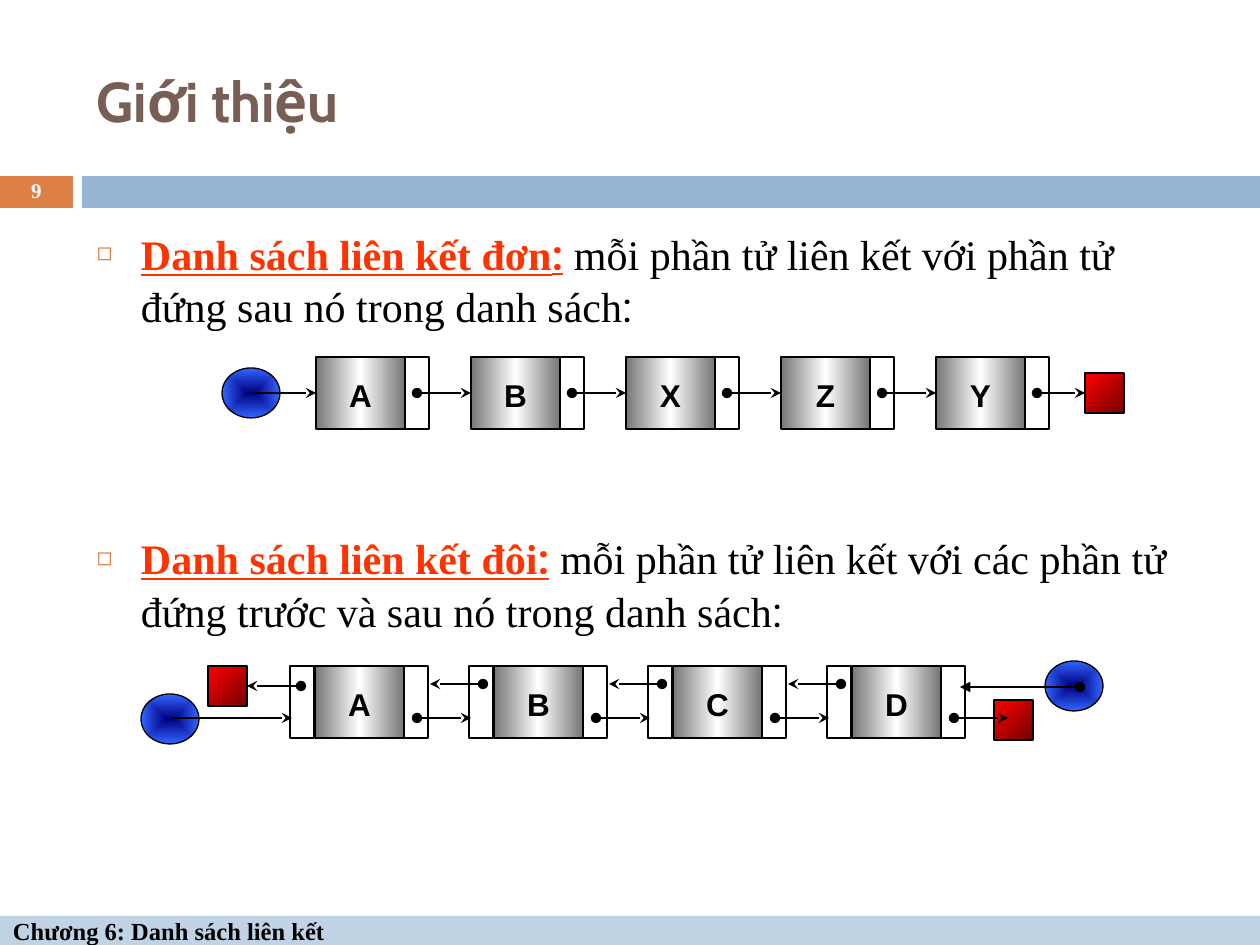
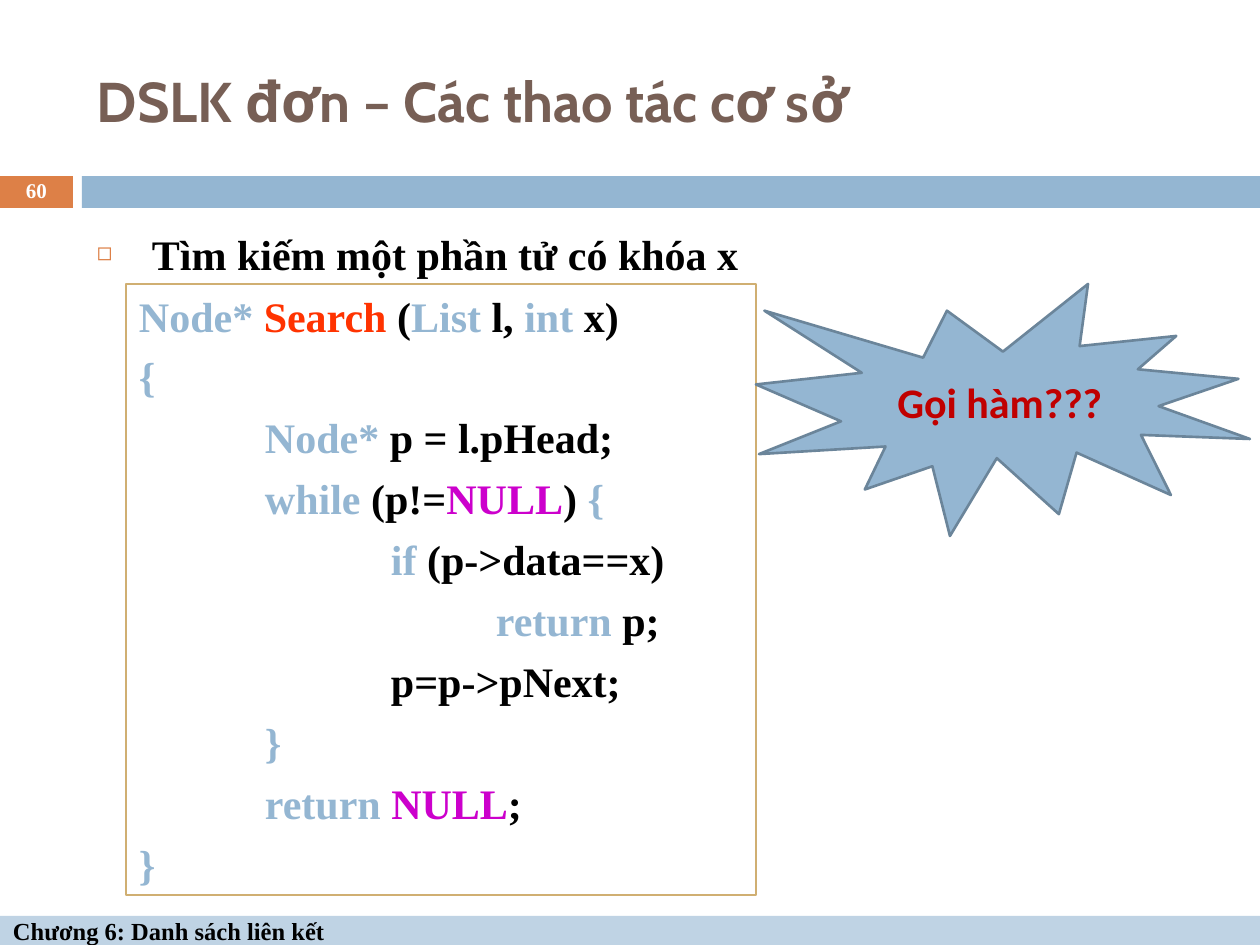
import lxml.etree
import pptx
import pptx.dml.color
import pptx.enum.shapes
import pptx.enum.text
import pptx.oxml.ns
import pptx.util

RGB = pptx.dml.color.RGBColor
SHAPE = pptx.enum.shapes.MSO_SHAPE
ALIGN = pptx.enum.text.PP_ALIGN
ANCHOR = pptx.enum.text.MSO_ANCHOR
Pt = pptx.util.Pt
qn = pptx.oxml.ns.qn

PX_PER_INCH = 126
BLACK = RGB(0x00, 0x00, 0x00)
WHITE = RGB(0xFF, 0xFF, 0xFF)
ORANGE = RGB(0xDD, 0x80, 0x47)
BLUE = RGB(0x94, 0xB6, 0xD2)
PALE_BLUE = RGB(0xBF, 0xD3, 0xE4)
SLATE = RGB(0x6B, 0x85, 0x9A)
BROWN = RGB(0x77, 0x5F, 0x55)
SAND = RGB(0xD0, 0xAF, 0x72)
SCARLET = RGB(0xFF, 0x33, 0x00)
CRIMSON = RGB(0xC0, 0x00, 0x00)
MAGENTA = RGB(0xCC, 0x00, 0xCC)
NAVY = RGB(0x00, 0x00, 0x80)
ROYAL = RGB(0x33, 0x66, 0xFF)
RED = RGB(0xFF, 0x00, 0x00)
MAROON = RGB(0x76, 0x00, 0x00)
GRAY = RGB(0x76, 0x76, 0x76)
SERIF = "Times New Roman"

CODE = [
    (0, [("Node* ", BLUE), ("Search ", SCARLET), ("(", BLACK), ("List", BLUE),
         (" l, ", BLACK), ("int", BLUE), (" x)", BLACK)]),
    (0, [("{", BLUE)]),
    (126, [("Node*", BLUE), (" p = l.pHead;", BLACK)]),
    (126, [("while ", BLUE), ("(p!=", BLACK), ("NULL", MAGENTA), (") ", BLACK), ("{", BLUE)]),
    (252, [("if", BLUE), (" (p->data==x)", BLACK)]),
    (357, [("return", BLUE), (" p;", BLACK)]),
    (252, [("p=p->pNext;", BLACK)]),
    (126, [("}", BLUE)]),
    (126, [("return ", BLUE), ("NULL", MAGENTA), (";", BLACK)]),
    (0, [("}", BLUE)]),
]


def px(length):
    """Turn pixels into EMU."""
    return pptx.util.Emu(round(length * 914400 / PX_PER_INCH))


def add_xml(parent, tag, **attributes):
    """Append one DrawingML element."""
    return lxml.etree.SubElement(parent, qn(tag), attributes)


def format_run(run, size, color, font=SERIF, bold=True, underline=None):
    """Set the character format of a run."""
    run.font.size = Pt(size)
    run.font.name = font
    run.font.bold = bold
    run.font.underline = underline
    run.font.color.rgb = color


def add_span(para, text, size, color, **style):
    """Append a formatted run to a paragraph."""
    run = para.add_run()
    run.text = text
    format_run(run, size, color, **style)


def set_frame(shape, anchor, insets=(13, 6, 13, 6)):
    """Set wrapping, anchor and insets of a text frame."""
    frame = shape.text_frame
    frame.word_wrap = True
    frame.auto_size = pptx.enum.text.MSO_AUTO_SIZE.NONE
    frame.vertical_anchor = anchor
    frame.margin_left, frame.margin_top, frame.margin_right, frame.margin_bottom = map(px, insets)
    return frame


def label(shape, text, size, color, font=SERIF, align=ALIGN.CENTER, **frame_style):
    """Write one bold line in the middle of a shape."""
    frame = set_frame(shape, ANCHOR.MIDDLE, **frame_style)
    frame.text = text
    para = frame.paragraphs[0]
    para.alignment = align
    format_run(para.runs[0], size, color, font)
    return para


def place(shape, left, top, width, height):
    """Move and size a shape."""
    shape.left, shape.top, shape.width, shape.height = map(px, (left, top, width, height))


def add_box(shapes, kind, area, fill=None, line=None, weight=0.75):
    """Add a preset shape with plain fill and outline."""
    box = shapes.add_shape(kind, *map(px, area))
    box.shadow.inherit = False
    if fill is None:
        box.fill.background()
    else:
        box.fill.solid()
        box.fill.fore_color.rgb = fill
    if line is None:
        box.line.fill.background()
    else:
        box.line.color.rgb = line
        box.line.width = Pt(weight)
    return box


def set_gradient(box, colors, angle=None):
    """Fill a box with evenly spaced colours, from the centre if no angle is given."""
    box.fill.background()
    properties = box._element.spPr
    gradient = lxml.etree.Element(qn("a:gradFill"), {"rotWithShape": "1"})
    stops = add_xml(gradient, "a:gsLst")
    for index, color in enumerate(colors):
        stop = add_xml(stops, "a:gs", pos=str(100000 * index // (len(colors) - 1)))
        add_xml(stop, "a:srgbClr", val=str(color))
    if angle is None:
        centre = add_xml(gradient, "a:path", path="rect")
        add_xml(centre, "a:fillToRect", l="50000", t="50000", r="50000", b="50000")
    else:
        add_xml(gradient, "a:lin", ang=str(angle * 60000), scaled="0")
    properties.replace(properties.find(qn("a:noFill")), gradient)


def add_node(shapes, text, left, top):
    """Add the data part of a list node."""
    node = add_box(shapes, SHAPE.RECTANGLE, (left, top, 89, 72), line=BLACK)
    set_gradient(node, (GRAY, WHITE, GRAY), 0)
    label(node, text, 18, BLACK, "Arial", insets=(0, 4, 0, 0))
    return node


def add_slot(shapes, left, top, fill=None):
    """Add the pointer part of a list node."""
    add_box(shapes, SHAPE.RECTANGLE, (left, top, 24, 72), fill, BLACK)


def add_head(shapes, left, top):
    """Add the ellipse that stands for a list pointer."""
    head = add_box(shapes, SHAPE.OVAL, (left, top, 58, 50), line=BLACK)
    set_gradient(head, (NAVY, ROYAL))


def add_null(shapes, left, top):
    """Add the red square that ends a list."""
    null = add_box(shapes, SHAPE.RECTANGLE, (left, top, 39, 40), line=BLACK)
    set_gradient(null, (RED, MAROON), 45)
    return null


def add_arrow(shapes, start, end, y, dot=True, tip="stealth", target=None, side=1):
    """Add a level arrow, joined to a side of its target if there is one."""
    straight = pptx.enum.shapes.MSO_CONNECTOR.STRAIGHT
    arrow = shapes.add_connector(straight, px(start), px(y), px(end), px(y))
    if target is not None:
        arrow.end_connect(target, side)
    arrow.line.color.rgb = BLACK
    arrow.line.width = Pt(1.25)
    line = arrow.line._get_or_add_ln()
    if dot:
        add_xml(line, "a:headEnd", type="oval")
    add_xml(line, "a:tailEnd", type=tip)
    add_xml(arrow._element.spPr, "a:effectLst")


def add_page(deck, title, number):
    """Add a page with title, bands, page number and footer."""
    page = deck.slides.add_slide(deck.slide_layouts[1])
    place(page.shapes.title, 84, 32, 1124, 136)
    label(page.shapes.title, title, 32, BROWN, "Cabin", ALIGN.LEFT)
    place(page.placeholders[1], 84, 220, 1124, 620)
    set_frame(page.placeholders[1], ANCHOR.TOP)
    add_box(page.shapes, SHAPE.RECTANGLE, (0, 176, 73, 32), ORANGE)
    add_box(page.shapes, SHAPE.RECTANGLE, (82, 176, 1178, 32), BLUE)
    footer = add_box(page.shapes, SHAPE.RECTANGLE, (0, 916, 1260, 29), PALE_BLUE)
    label(footer, "Chương 6: Danh sách liên kết", 14, BLACK, align=ALIGN.LEFT)
    number_box = page.shapes.add_textbox(*map(px, (0, 175, 73, 34)))
    label(number_box, number, 12, WHITE).line_spacing = 0.8
    return page


def format_bullet(para, indent, space=6):
    """Give a paragraph the square bullet and fixed line pitch."""
    para.line_spacing = Pt(30)
    para.space_before = Pt(space)
    properties = para._p.get_or_add_pPr()
    properties.set("marL", str(px(indent)))
    properties.set("indent", str(px(-indent)))
    add_xml(add_xml(properties, "a:buClr"), "a:srgbClr", val=str(ORANGE))
    add_xml(properties, "a:buSzPct", val="60000")
    add_xml(properties, "a:buChar", char="◻")


def add_definition(para, term, meaning, space):
    """Write an underlined term and its meaning as a bullet."""
    format_bullet(para, 44, space)
    add_span(para, term, 24, SCARLET, underline=True)
    add_span(para, ":", 24, SCARLET, font="Roboto", underline=True)
    add_span(para, " " + meaning, 24, BLACK, bold=False)
    add_span(para, ":", 24, BLACK, font="Roboto", bold=False)


def draw_single_list(page):
    """Draw the singly linked list."""
    shapes = page.shapes.add_group_shape().shapes
    add_head(shapes, 222, 368)
    targets = []
    for index, text in enumerate("ABXZY"):
        left = 316 + 155 * index
        add_slot(shapes, left + 89, 357, WHITE)
        targets.append(add_node(shapes, text, left, 357))
    targets.append(add_null(shapes, 1085, 373))
    add_arrow(shapes, 252, 316, 393, dot=False, target=targets[0])
    for index, target in enumerate(targets[1:]):
        start = 417 + 155 * index
        add_arrow(shapes, start, start + 54, 393, target=target)


def draw_double_list(page):
    """Draw the doubly linked list."""
    shapes = page.shapes.add_group_shape().shapes
    add_head(shapes, 141, 694)
    add_head(shapes, 1045, 661)
    first_null = add_null(shapes, 208, 666)
    add_null(shapes, 994, 700)
    for index, text in enumerate("ABCD"):
        left = 315 + 179 * index
        add_slot(shapes, left - 25, 666)
        add_slot(shapes, left + 89, 666)
        add_node(shapes, text, left, 666)
        add_arrow(shapes, left + 102, left + 156, 718)
        if index:
            add_arrow(shapes, left - 11, left - 64, 684)
    add_arrow(shapes, 301, 247, 686, target=first_null, side=3)
    add_arrow(shapes, 173, 292, 718, dot=False)
    add_arrow(shapes, 1080, 960, 687, tip="triangle")


def build_introduction(deck):
    """Build the page on the two kinds of linked list."""
    page = add_page(deck, "Giới thiệu", "9")
    frame = page.placeholders[1].text_frame
    add_definition(frame.paragraphs[0], "Danh sách liên kết đơn",
                   "mỗi phần tử liên kết với phần tử đứng sau nó trong danh sách", 6)
    add_definition(frame.add_paragraph(), "Danh sách liên kết đôi",
                   "mỗi phần tử liên kết với các phần tử đứng trước và sau nó trong danh sách", 114)
    draw_single_list(page)
    draw_double_list(page)


def add_code(page):
    """Add the framed listing of the search function."""
    box = add_box(page.shapes, SHAPE.RECTANGLE, (126, 284, 630, 611), line=SAND)
    frame = set_frame(box, ANCHOR.TOP)
    for index, (indent, spans) in enumerate(CODE):
        para = frame.add_paragraph() if index else frame.paragraphs[0]
        para.alignment = ALIGN.LEFT
        para.line_spacing = Pt(28.8)
        para.space_before = Pt(6)
        para._p.get_or_add_pPr().set("marL", str(px(indent)))
        for text, color in spans:
            add_span(para, text, 24, color)


def build_search(deck):
    """Build the page on searching a list."""
    page = add_page(deck, "DSLK đơn – Các thao tác cơ sở", "60")
    para = page.placeholders[1].text_frame.paragraphs[0]
    para.text = "Tìm kiếm một phần tử có khóa x"
    format_run(para.runs[0], 24, BLACK)
    format_bullet(para, 55)
    add_code(page)
    seal = add_box(page.shapes, SHAPE.EXPLOSION1, (756, 284, 494, 252), BLUE, SLATE, 1.5)
    label(seal, "Gọi hàm???", 24, CRIMSON, "Calibri")


def main():
    """Build and save the deck."""
    deck = pptx.Presentation()
    deck.slide_width, deck.slide_height = px(1260), px(945)
    build_introduction(deck)
    build_search(deck)
    deck.save("out.pptx")


if __name__ == "__main__":
    main()
